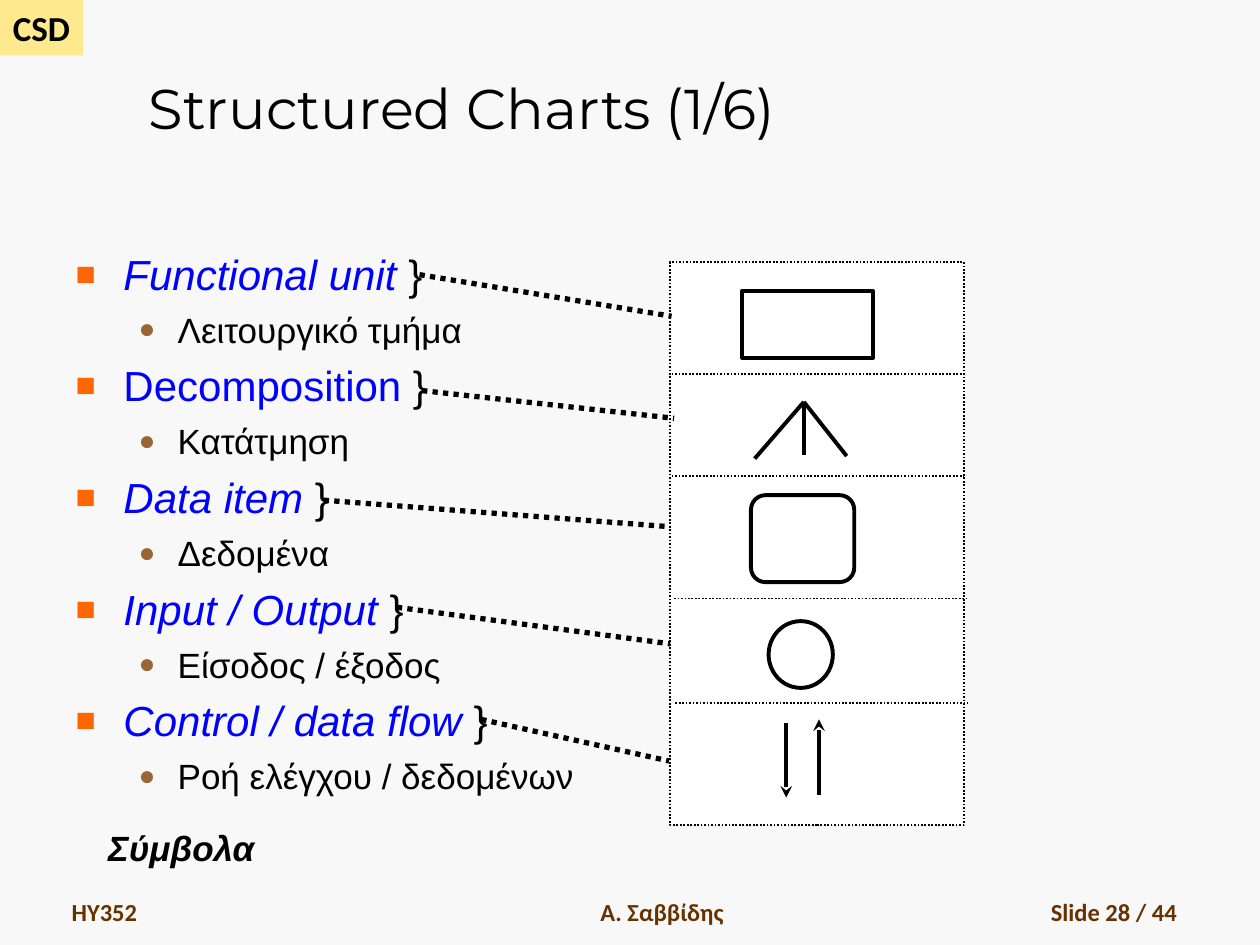
from pptx import Presentation
from pptx.dml.color import RGBColor
from pptx.enum.dml import MSO_LINE as Dash
from pptx.enum.shapes import MSO_CONNECTOR as Conn, MSO_SHAPE as Kind
from pptx.enum.text import MSO_ANCHOR as Anchor, MSO_AUTO_SIZE as Fit, PP_ALIGN as Align
from pptx.oxml.ns import qn
from pptx.util import Inches, Pt
from lxml.etree import SubElement as Sub

BLACK = RGBColor(0, 0, 0)
WHITE = RGBColor(255, 255, 255)
PAPER = RGBColor(0xF8, 0xF8, 0xF8)
YELLOW = RGBColor(0xFF, 0xE9, 0x8F)
BROWN = RGBColor(0x66, 0x33, 0)
TAN = RGBColor(0x99, 0x66, 0x33)
ORANGE = RGBColor(0xFF, 0x66, 0)
BLUE = RGBColor(0, 0, 255)

TERMS = [
    ("Functional unit", "Λειτουργικό τμήμα", True),
    ("Decomposition", "Κατάτμηση", False),
    ("Data item", "Δεδομένα", True),
    ("Input / Output", "Είσοδος / έξοδος", True),
    ("Control / data flow", "Ροή ελέγχου / δεδομένων", True),
]
LINKS = [
    (3.33, 2.18, 5.33, 2.51),
    (3.35, 3.1, 5.35, 3.32),
    (2.57, 3.97, 5.31, 4.18),
    (3.15, 4.82, 5.32, 5.11),
    (3.82, 5.71, 5.31, 6.04),
]
RULES = [(5.33, 2.97), (5.33, 3.78), (5.35, 4.75), (5.36, 5.58)]
FOOTS = [
    ("HY352", 0.47, 2.19, Align.LEFT),
    ("Α. Σαββίδης", 3.67, 3.17, Align.CENTER),
    ("Slide 28 / 44", 7.36, 2.08, Align.RIGHT),
]


def style(font, name, size, color, bold=False, italic=False):
    font.name = name
    font.size = Pt(size)
    font.color.rgb = color
    font.bold = bold
    font.italic = italic


def place(shape, x, y, w, h):
    shape.left, shape.top = Inches(x), Inches(y)
    shape.width, shape.height = Inches(w), Inches(h)


def box(slide, kind, x, y, w, h, fill=WHITE, width=2.25, dash=None):
    shape = slide.shapes.add_shape(kind, Inches(x), Inches(y), Inches(w), Inches(h))
    shape.shadow.inherit = False
    shape.fill.solid()
    shape.fill.fore_color.rgb = fill
    if width:
        shape.line.color.rgb = BLACK
        shape.line.width = Pt(width)
        shape.line.dash_style = dash
    else:
        shape.line.fill.background()
    return shape


def line(slide, x1, y1, x2, y2, width=2.25, dash=None, arrow=False):
    link = slide.shapes.add_connector(
        Conn.STRAIGHT, Inches(x1), Inches(y1), Inches(x2), Inches(y2))
    link.line.color.rgb = BLACK
    link.line.width = Pt(width)
    link.line.dash_style = dash
    if arrow:
        Sub(link.line._get_or_add_ln(), qn("a:tailEnd"), type="stealth")
    Sub(link._element.spPr, qn("a:effectLst"))


def label(slide, text, x, y, w, h, align, wrap=True, anchor=Anchor.TOP):
    frame = slide.shapes.add_textbox(
        Inches(x), Inches(y), Inches(w), Inches(h)).text_frame
    frame.word_wrap = wrap
    frame.vertical_anchor = anchor
    para = frame.paragraphs[0]
    para.text = text
    para.alignment = align
    return para.font


def bullet(para, mark, color, left, hang):
    props = para._p.get_or_add_pPr()
    props.set("marL", str(Inches(left)))
    props.set("indent", str(-Inches(hang)))
    Sub(Sub(props, qn("a:buClr")), qn("a:srgbClr"), val=str(color))
    Sub(props, qn("a:buSzPct"), val="80000")
    Sub(props, qn("a:buFont"), typeface="Arial")
    Sub(props, qn("a:buChar"), char=mark)
    para.space_before = Pt(5.5)


def terms(body):
    place(body, 0.5, 1.92, 4.44, 4.83)
    frame = body.text_frame
    frame.auto_size = Fit.NONE
    para = frame.paragraphs[0]
    for name, greek, slant in TERMS:
        bullet(para, "■", ORANGE, 0.38, 0.38)
        for text, color, italic in [(name, BLUE, slant), (" }", BLACK, False)]:
            run = para.add_run()
            run.text = text
            style(run.font, "Arial", 24, color, italic=italic)
        para = frame.add_paragraph()
        para.text = greek
        para.level = 1
        bullet(para, "●", TAN, 0.81, 0.31)
        style(para.font, "Arial", 20, BLACK)
        if name != TERMS[-1][0]:
            para = frame.add_paragraph()


def symbols(slide):
    box(slide, Kind.RECTANGLE, 5.32, 2.08, 2.33, 4.47, width=1, dash=Dash.ROUND_DOT)
    box(slide, Kind.RECTANGLE, 5.89, 2.31, 1.04, 0.53)
    for x, y in [(5.99, 3.64), (6.38, 3.61), (6.72, 3.62)]:
        line(slide, 6.38, 3.19, x, y)
    box(slide, Kind.ROUNDED_RECTANGLE, 5.96, 3.93, 0.82, 0.69)
    box(slide, Kind.OVAL, 6.1, 4.93, 0.51, 0.53)
    line(slide, 6.24, 5.74, 6.24, 6.33, arrow=True)
    line(slide, 6.5, 6.31, 6.5, 5.71, arrow=True)
    for x, y in RULES:
        line(slide, x, y, x + 2.32, y, 1, Dash.ROUND_DOT)


def main():
    deck = Presentation()
    deck.slide_width, deck.slide_height = Inches(10), Inches(7.5)
    slide = deck.slides.add_slide(deck.slide_layouts[1])
    slide.background.fill.solid()
    slide.background.fill.fore_color.rgb = PAPER

    badge = box(slide, Kind.RECTANGLE, 0, 0, 0.66, 0.44, YELLOW, 0)
    badge.text_frame.word_wrap = False
    para = badge.text_frame.paragraphs[0]
    para.text = "CSD"
    para.alignment = Align.CENTER
    style(para.font, "Calibri", 20, BLACK, True)

    title = slide.shapes.title
    place(title, 1.08, 0.17, 8.92, 1)
    title.text_frame.auto_size = Fit.NONE
    title.text_frame.vertical_anchor = Anchor.BOTTOM
    para = title.text_frame.paragraphs[0]
    para.text = "Structured Charts (1/6)"
    para.alignment = Align.LEFT
    style(para.font, "Montserrat", 32, BLACK)

    terms(slide.placeholders[1])
    symbols(slide)
    for ends in LINKS:
        line(slide, *ends, 3, Dash.ROUND_DOT)

    font = label(slide, "Σύμβολα", 0.76, 6.51, 1.36, 0.43, Align.CENTER, False)
    style(font, "Arial", 20, BLACK, True, True)
    for text, x, w, align in FOOTS:
        font = label(slide, text, x, 6.9, w, 0.5, align, anchor=Anchor.BOTTOM)
        style(font, "Calibri", 14, BROWN, True)

    deck.save("out.pptx")


if __name__ == "__main__":
    main()
